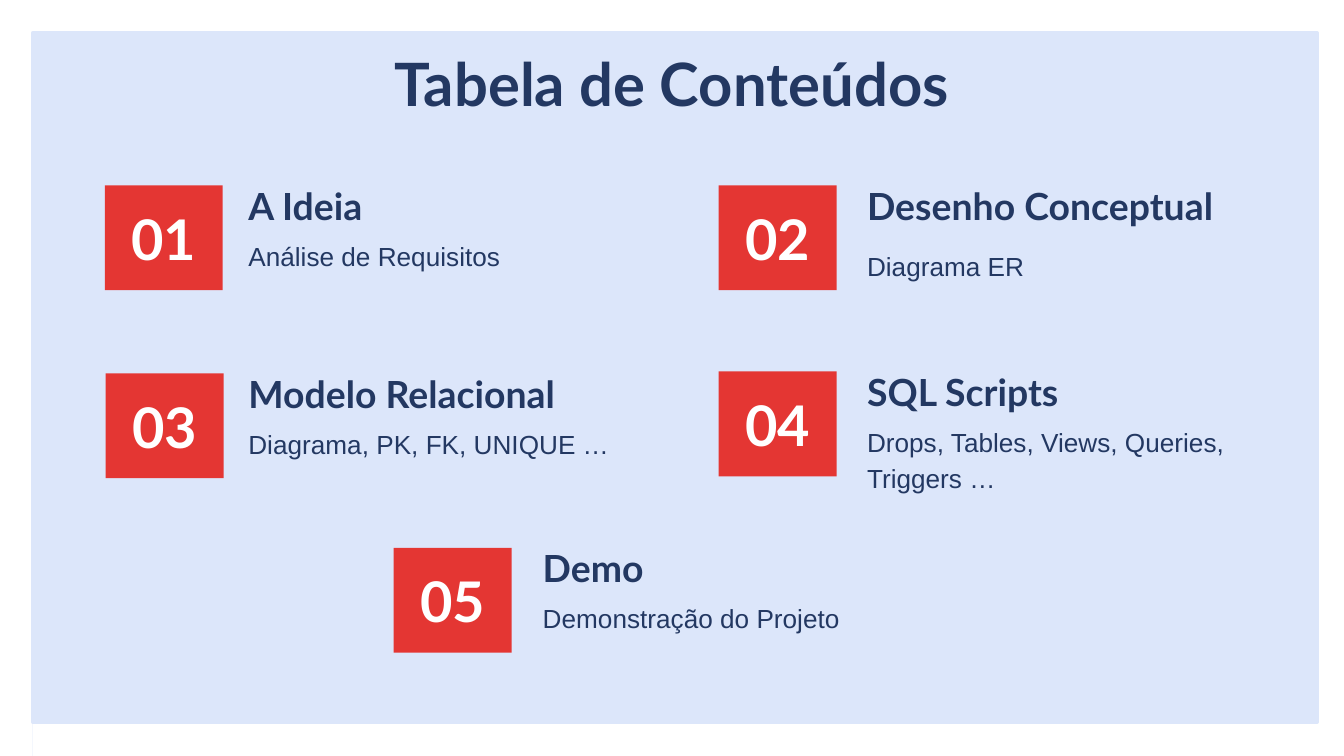
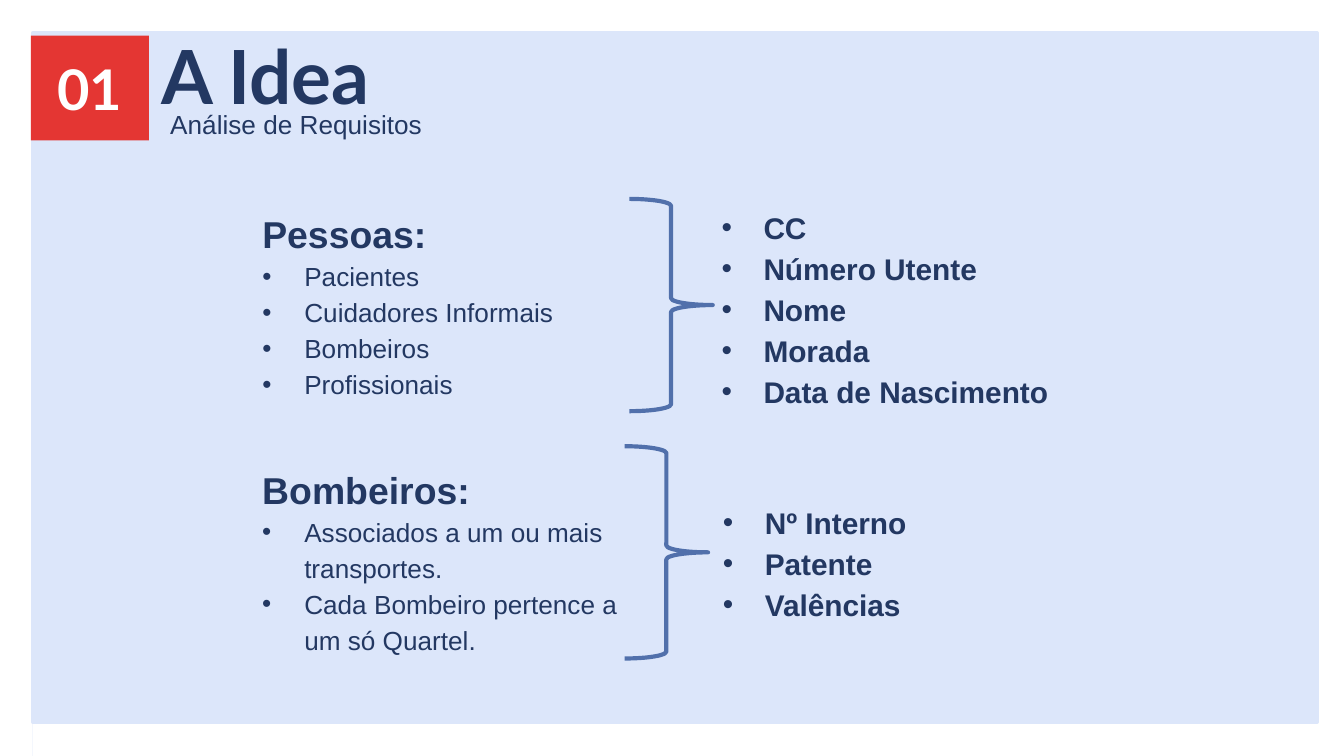
from dataclasses import dataclass

from lxml.etree import SubElement
from pptx import Presentation
from pptx.dml.color import RGBColor as Rgb
from pptx.enum.shapes import MSO_SHAPE as Shape
from pptx.enum.text import MSO_ANCHOR as Anchor, PP_ALIGN as Align
from pptx.oxml.ns import qn
from pptx.util import Inches, Pt

COLUMNS, ROWS = 100, 56.25
MARGIN = 2.4
BADGE = (8.78, 7.8)


@dataclass(frozen=True)
class Theme:
    """Colours, fonts and type sizes shared by the slides."""

    paper: str = "FFFFFF"
    panel: str = "DCE6FA"
    ink: str = "233862"
    badge: str = "E43633"
    brace: str = "5170AB"
    display: str = "Lato"
    body: str = "Arial"
    section: int = 40
    title: int = 32
    number: int = 30
    heading: int = 20
    detail: int = 16
    text: int = 14
    spacing: float = 1.15
    indent: float = 22.5
    inset: float = 0.1


def write(frame, *lines, theme, size, color=None, font=None, bold=False,
          align=Align.LEFT, spacing=None, bullet=False):
    """Append formatted paragraphs to a text frame."""
    for line in lines:
        paragraph = frame.add_paragraph() if frame.text else frame.paragraphs[0]
        paragraph.alignment = align
        paragraph.line_spacing = spacing or theme.spacing
        run = paragraph.add_run()
        run.text = line
        run.font.size = Pt(size)
        run.font.name = font or theme.body
        run.font.bold = bold
        run.font.color.rgb = Rgb.from_string(color or theme.ink)
        if bullet:
            properties = paragraph._p.get_or_add_pPr()
            properties.set("marL", str(Pt(theme.indent)))
            properties.set("indent", str(-Pt(theme.indent)))
            tint = SubElement(properties, qn("a:buClr"))
            SubElement(tint, qn("a:srgbClr"), val=theme.ink)
            SubElement(properties, qn("a:buFont"), typeface=theme.body)
            SubElement(properties, qn("a:buChar"), char="•")


class Deck:
    """Holds the theme and the current slide."""

    def __init__(self, theme):
        """Start an empty presentation."""
        self.theme = theme
        self.show = Presentation()
        self.show.slide_width, self.show.slide_height = Inches(10), Inches(5.625)
        self.slide = None

    def place(self, column, row, columns, rows):
        """Turn grid cells into slide lengths."""
        across = self.show.slide_width / COLUMNS
        down = self.show.slide_height / ROWS
        return [int(length) for length in
                (column * across, row * down, columns * across, rows * down)]

    def new_slide(self):
        """Add a slide with paper bands around the pale panel."""
        self.slide = self.show.slides.add_slide(self.show.slide_layouts[6])
        backdrop = self.slide.background.fill
        backdrop.solid()
        backdrop.fore_color.rgb = Rgb.from_string(self.theme.panel)
        for band in ((0, 0, MARGIN, ROWS),
                     (97.8, 0, COLUMNS - 97.8, ROWS),
                     (MARGIN, ROWS - MARGIN, 97.5, MARGIN),
                     (1.4, 0, 97.5, MARGIN)):
            self.shape(Shape.RECTANGLE, *band, fill=self.theme.paper)
        self.shape(Shape.RECTANGLE, 2.45, 2.45, 95.55, 51.28,
                   fill=self.theme.panel, line=self.theme.panel, weight=2)

    def shape(self, kind, *cells, fill=None, line=None, weight=1):
        """Draw a preset shape with optional fill and outline."""
        drawn = self.slide.shapes.add_shape(kind, *self.place(*cells))
        drawn.shadow.inherit = False
        for paint, color in ((drawn.fill, fill), (drawn.line.fill, line)):
            if color:
                paint.solid()
                paint.fore_color.rgb = Rgb.from_string(color)
            else:
                paint.background()
        if line:
            drawn.line.width = Pt(weight)
        return drawn

    def frame(self, holder, anchor):
        """Prepare the text frame of a shape or box."""
        frame = holder.text_frame
        frame.word_wrap = True
        frame.vertical_anchor = anchor
        frame.margin_left = frame.margin_right = Inches(self.theme.inset)
        frame.margin_top = frame.margin_bottom = Inches(self.theme.inset)
        return frame

    def text(self, cells, *lines, anchor=Anchor.TOP, **style):
        """Add a text box and return its frame."""
        frame = self.frame(self.slide.shapes.add_textbox(*self.place(*cells)), anchor)
        write(frame, *lines, theme=self.theme, **style)
        return frame

    def title(self, words):
        """Add the centred slide title."""
        self.text((7.85, 2.5, 84.3, 6.3), words, size=self.theme.title, bold=True,
                  font=self.theme.display, align=Align.CENTER, spacing=1.0)

    def badge(self, column, row, number):
        """Draw a numbered square."""
        square = self.shape(Shape.RECTANGLE, column, row, *BADGE, fill=self.theme.badge)
        write(self.frame(square, Anchor.MIDDLE), f"{number:02d}", theme=self.theme,
              size=self.theme.number, color=self.theme.paper, bold=True,
              font=self.theme.display, align=Align.CENTER, spacing=1.0)

    def heading(self, column, row, words, size):
        """Add a section name resting on the bottom of its box."""
        self.text((column, row, 30.4, 4.15), words, anchor=Anchor.BOTTOM,
                  size=size, bold=True, font=self.theme.display)

    def entry(self, number, column, row, offset, drop, name, summary):
        """Add one line of the table of contents."""
        self.badge(column, row, number)
        self.heading(column + offset, row, name, self.theme.heading)
        self.text((column + offset, row + drop, 30.4, 6.6), summary, size=self.theme.text)

    def group(self, cells, name, members):
        """Add a group name with its bulleted members."""
        frame = self.text(cells, name, size=self.theme.heading, bold=True)
        write(frame, *members, theme=self.theme, size=self.theme.text, bullet=True)

    def attributes(self, cells, names):
        """Add a bold bulleted list."""
        self.text(cells, *names, size=self.theme.detail, bold=True, bullet=True)

    def brace(self, column, row):
        """Draw the brace that links a group to its attributes."""
        self.shape(Shape.RIGHT_BRACE, column, row, 6.2, 15.8,
                   line=self.theme.brace, weight=2.25)


def contents(deck):
    """Build the table of contents."""
    deck.new_slide()
    deck.title("Tabela de Conteúdos")
    entries = (
        (7.8, 13.8, 9.7, 2.75, "A Ideia", "Análise de Requisitos"),
        (53.48, 13.8, 10.05, 3.5, "Desenho Conceptual", "Diagrama ER"),
        (7.87, 27.78, 9.63, 2.72, "Modelo Relacional", "Diagrama, PK, FK, UNIQUE …"),
        (53.48, 27.64, 10.05, 2.76, "SQL Scripts", "Drops, Tables, Views, Queries, Triggers …"),
        (29.3, 40.76, 10.1, 2.74, "Demo", "Demonstração do Projeto"),
    )
    for number, entry in enumerate(entries, 1):
        deck.entry(number, *entry)


def idea(deck):
    """Build the requirements slide."""
    deck.new_slide()
    deck.badge(2.3, 2.65, 1)
    deck.heading(11, 5.75, "A Idea", deck.theme.section)
    deck.text((11.68, 6.7, 24.1, 5.9), "Análise de Requisitos", size=deck.theme.text)

    deck.group((18.53, 14.2, 26.9, 16.3), "Pessoas:",
               ("Pacientes", "Cuidadores Informais", "Bombeiros", "Profissionais"))
    deck.brace(46.83, 14.8)
    deck.attributes((52.7, 14.17, 26.9, 19),
                    ("CC", "Número Utente", "Nome", "Morada", "Data de Nascimento"))

    deck.group((18.53, 33.23, 30.3, 16.3), "Bombeiros:",
               ("Associados a um ou mais transportes.",
                "Cada Bombeiro pertence a um só Quartel."))
    deck.brace(46.48, 33.2)
    deck.attributes((52.8, 36.14, 26.9, 12.2), ("Nº Interno", "Patente", "Valências"))


def main():
    """Build and save the presentation."""
    deck = Deck(Theme())
    contents(deck)
    idea(deck)
    deck.show.save("out.pptx")


if __name__ == "__main__":
    main()
